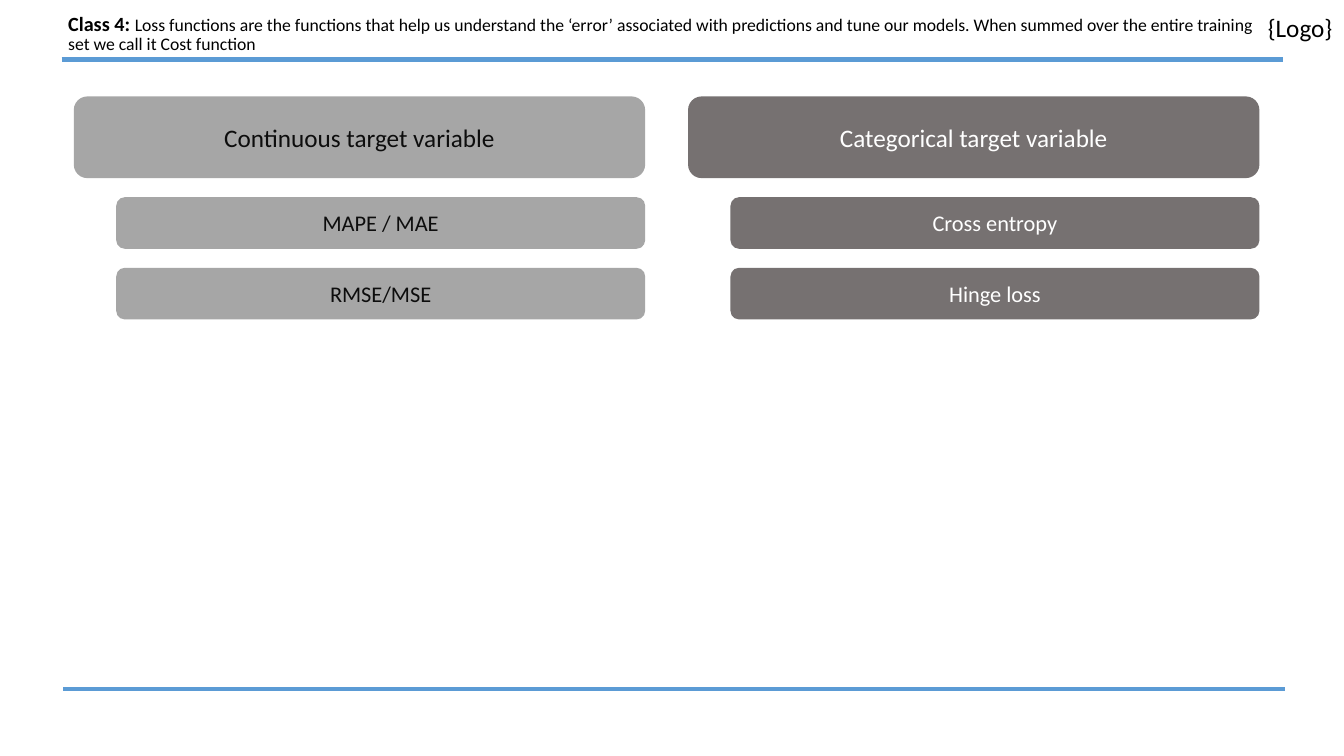
import pptx
import pptx.util
import pptx.dml.color
import pptx.enum.shapes
import pptx.enum.text
import pptx.oxml

Cm = pptx.util.Cm
RGB = pptx.dml.color.RGBColor.from_string
ANCHOR = pptx.enum.text.MSO_ANCHOR
ALIGN = pptx.enum.text.PP_ALIGN
SHAPE = pptx.enum.shapes.MSO_SHAPE


class Theme:
    font = "Calibri"
    rule, text = "5B9BD5", "000000"
    light, dark = "A6A6A6", "767171"
    on_light, on_dark = "0D0D0D", "FFFFFF"
    class_size, title_size = 14.4, 12.6
    logo_size, head_size, item_size = 18, 18, 16
    rule_width = 3


def add_run(p, text, size, color, bold=False):
    r = p.add_run()
    r.text = text
    values = {"name": Theme.font, "size": pptx.util.Pt(size), "bold": bold}
    for name, value in values.items():
        setattr(r.font, name, value)
    r.font.color.rgb = RGB(color)


def format_frame(tf, **values):
    for name, value in values.items():
        setattr(tf, name, value)


prs = pptx.Presentation()
prs.slide_width, prs.slide_height = Cm(33.87), Cm(19.05)
s = prs.slides.add_slide(prs.slide_layouts[6])

# Rules above and below the content
for left, top in [(1.55, 1.5), (1.6, 17.37)]:
    line = s.shapes.add_connector(
        pptx.enum.shapes.MSO_CONNECTOR.STRAIGHT,
        Cm(left), Cm(top), Cm(left + 30.78), Cm(top))
    line.line.color.rgb = RGB(Theme.rule)
    line.line.width = pptx.util.Pt(Theme.rule_width)
    line._element.spPr.append(pptx.oxml.parse_xml(
        '<a:effectLst xmlns:a="http://schemas.openxmlformats.org/drawingml/2006/main"/>'))

# Logo placeholder text
tf = s.shapes.add_textbox(Cm(31.7), Cm(0.18), Cm(2.16), Cm(1.02)).text_frame
format_frame(tf, word_wrap=False,
             auto_size=pptx.enum.text.MSO_AUTO_SIZE.SHAPE_TO_FIT_TEXT)
add_run(tf.paragraphs[0], "{Logo}", Theme.logo_size, Theme.text)

# Title
tf = s.shapes.add_textbox(Cm(1.47), Cm(0.23), Cm(30.76), Cm(1.27)).text_frame
format_frame(tf, word_wrap=True, vertical_anchor=ANCHOR.MIDDLE)
p = tf.paragraphs[0]
p.line_spacing = 0.9
add_run(p, "Class 4: ", Theme.class_size, Theme.text, bold=True)
add_run(p, "Loss functions are the functions that help us understand the ‘error’ "
           "associated with predictions and tune our models. When summed over the "
           "entire training set we call it Cost function",
        Theme.title_size, Theme.text)

# Loss functions by target type: a heading with indented items
columns = [
    (Theme.light, Theme.on_light,
     ["Continuous target variable", "MAPE / MAE", "RMSE/MSE"]),
    (Theme.dark, Theme.on_dark,
     ["Categorical target variable", "Cross entropy", "Hinge loss"]),
]
column_width, column_step, gap = 14.4, 15.48, 0.48
rows = [(0, 2.06, Theme.head_size),
        (1.07, 1.3, Theme.item_size),
        (1.07, 1.3, Theme.item_size)]  # indent, height, type size

for i, (fill, color, labels) in enumerate(columns):
    top = 2.43
    for label, (indent, height, size) in zip(labels, rows):
        sp = s.shapes.add_shape(
            SHAPE.ROUNDED_RECTANGLE,
            Cm(1.86 + i * column_step + indent), Cm(top),
            Cm(column_width - indent), Cm(height))
        sp.shadow.inherit = False
        sp.fill.solid()
        sp.fill.fore_color.rgb = RGB(fill)
        sp.line.fill.background()
        format_frame(sp.text_frame, word_wrap=True, vertical_anchor=ANCHOR.MIDDLE)
        p = sp.text_frame.paragraphs[0]
        p.alignment = ALIGN.CENTER
        add_run(p, label, size, color)
        top += height + gap

prs.save("out.pptx")
